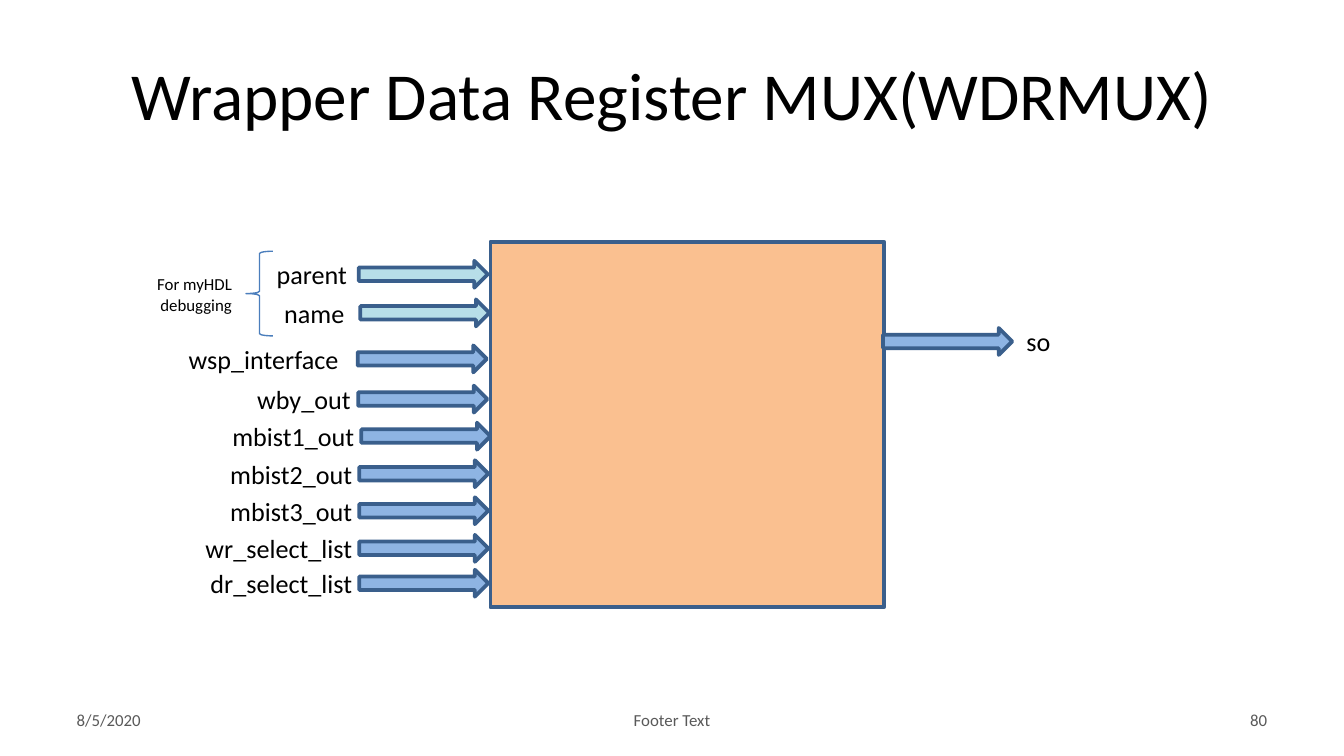
from dataclasses import dataclass

import pptx
import pptx.dml.color
import pptx.enum.shapes
import pptx.enum.text
import pptx.util

Cm = pptx.util.Cm
Pt = pptx.util.Pt
Shape = pptx.enum.shapes.MSO_SHAPE
Align = pptx.enum.text.PP_ALIGN
Anchor = pptx.enum.text.MSO_ANCHOR

FONT = "Calibri"
COLOURS = {
    "text": "000000",
    "footer": "595959",
    "block": "FAC090",
    "outline": "3A5F8C",
    "brace": "4B7EBC",
    "debug": "B7DEE8",
    "signal": "8EB4E3",
}
ARROW_WIDTH, ARROW_HEIGHT = 2.44, 0.51
LABEL_HEIGHT = 0.86
LABEL_RISE = 0.17  # a label starts this far above its arrow


@dataclass
class Area:
    """Left, top, width and height in centimetres."""
    left: float
    top: float
    width: float
    height: float

    def lengths(self) -> list:
        return [Cm(self.left), Cm(self.top), Cm(self.width), Cm(self.height)]


@dataclass
class Input:
    name: str
    label_right: float
    arrow_left: float
    arrow_top: float
    colour: str = "signal"
    label_width: float = 3.48


INPUTS = [
    Input("parent", 6.81, 6.78, 4.93, "debug", 2.16),
    Input("name", 6.76, 6.81, 5.66, "debug", 2.16),
    Input("wsp_interface", 6.65, 6.76, 6.53),
    Input("wby_out", 6.88, 6.77, 7.29),
    Input("mbist1_out", 6.95, 6.83, 7.99),
    Input("mbist2_out", 6.91, 6.79, 8.7),
    Input("mbist3_out", 6.91, 6.79, 9.4),
    Input("wr_select_list", 6.91, 6.79, 10.11),
    Input("dr_select_list", 6.91, 6.79, 10.77),
]


def rgb(name: str) -> pptx.dml.color.RGBColor:
    return pptx.dml.color.RGBColor.from_string(COLOURS[name])


def add_text(page, text: str, area: Area, size: float, align=Align.LEFT,
             colour: str = "text", anchor=Anchor.TOP, side: float = 0.25,
             edge: float = 0.13) -> None:
    """Add a one-paragraph text box; side and edge are its insets in cm."""
    box = page.shapes.add_textbox(*area.lengths())
    frame = box.text_frame
    frame.word_wrap = True
    frame.vertical_anchor = anchor
    frame.margin_left = frame.margin_right = Cm(side)
    frame.margin_top = frame.margin_bottom = Cm(edge)
    para = frame.paragraphs[0]
    para.alignment = align
    span = para.add_run()
    span.text = text
    span.font.name = FONT
    span.font.size = Pt(size)
    span.font.color.rgb = rgb(colour)


def add_figure(page, kind, area: Area, fill: str | None,
               line: str = "outline", weight: float = 2) -> None:
    """Add a preset shape; a fill of None leaves it open."""
    figure = page.shapes.add_shape(kind, *area.lengths())
    figure.shadow.inherit = False
    if fill is None:
        figure.fill.background()
    else:
        figure.fill.solid()
        figure.fill.fore_color.rgb = rgb(fill)
    figure.line.color.rgb = rgb(line)
    figure.line.width = Pt(weight)


def add_arrow(page, left: float, top: float, fill: str) -> None:
    area = Area(left, top, ARROW_WIDTH, ARROW_HEIGHT)
    add_figure(page, Shape.RIGHT_ARROW, area, fill)


def add_input(page, signal: Input) -> None:
    area = Area(signal.label_right - signal.label_width,
                signal.arrow_top - LABEL_RISE, signal.label_width, LABEL_HEIGHT)
    add_text(page, signal.name, area, 14, Align.RIGHT)
    add_arrow(page, signal.arrow_left, signal.arrow_top, signal.colour)


def add_diagram(page) -> None:
    add_figure(page, Shape.RECTANGLE, Area(9.27, 4.57, 7.44, 6.91), "block")
    for signal in INPUTS:
        add_input(page, signal)
    add_figure(page, Shape.LEFT_BRACE, Area(4.65, 4.75, 0.51, 1.6),
               None, "brace", 0.75)
    add_text(page, "For myHDL debugging", Area(2.24, 5.05, 2.39, 1.02),
             9, Align.RIGHT)
    output_top = 6.2
    add_arrow(page, 16.69, output_top, "signal")
    add_text(page, "so",
             Area(19.15, output_top - LABEL_RISE, 4.04, LABEL_HEIGHT), 14)


def add_title_and_footer(page) -> None:
    inset = {"anchor": Anchor.MIDDLE, "side": 0.18, "edge": 0.1}
    add_text(page, "Wrapper Data Register MUX(WDRMUX)",
             Area(1.27, 0.58, 22.86, 2.39), 36, Align.CENTER, **inset)
    for text, left, width, align in [
        ("8/5/2020", 1.27, 5.92, Align.LEFT),
        ("Footer Text", 8.68, 8.04, Align.CENTER),
        ("80", 18.21, 5.92, Align.RIGHT),
    ]:
        add_text(page, text, Area(left, 13.23, width, 0.76), 9, align,
                 "footer", **inset)


def main() -> None:
    deck = pptx.Presentation()
    deck.slide_width, deck.slide_height = Cm(25.4), Cm(14.29)
    page = deck.slides.add_slide(deck.slide_layouts[6])
    add_title_and_footer(page)
    add_diagram(page)
    deck.save("out.pptx")


if __name__ == "__main__":
    main()
